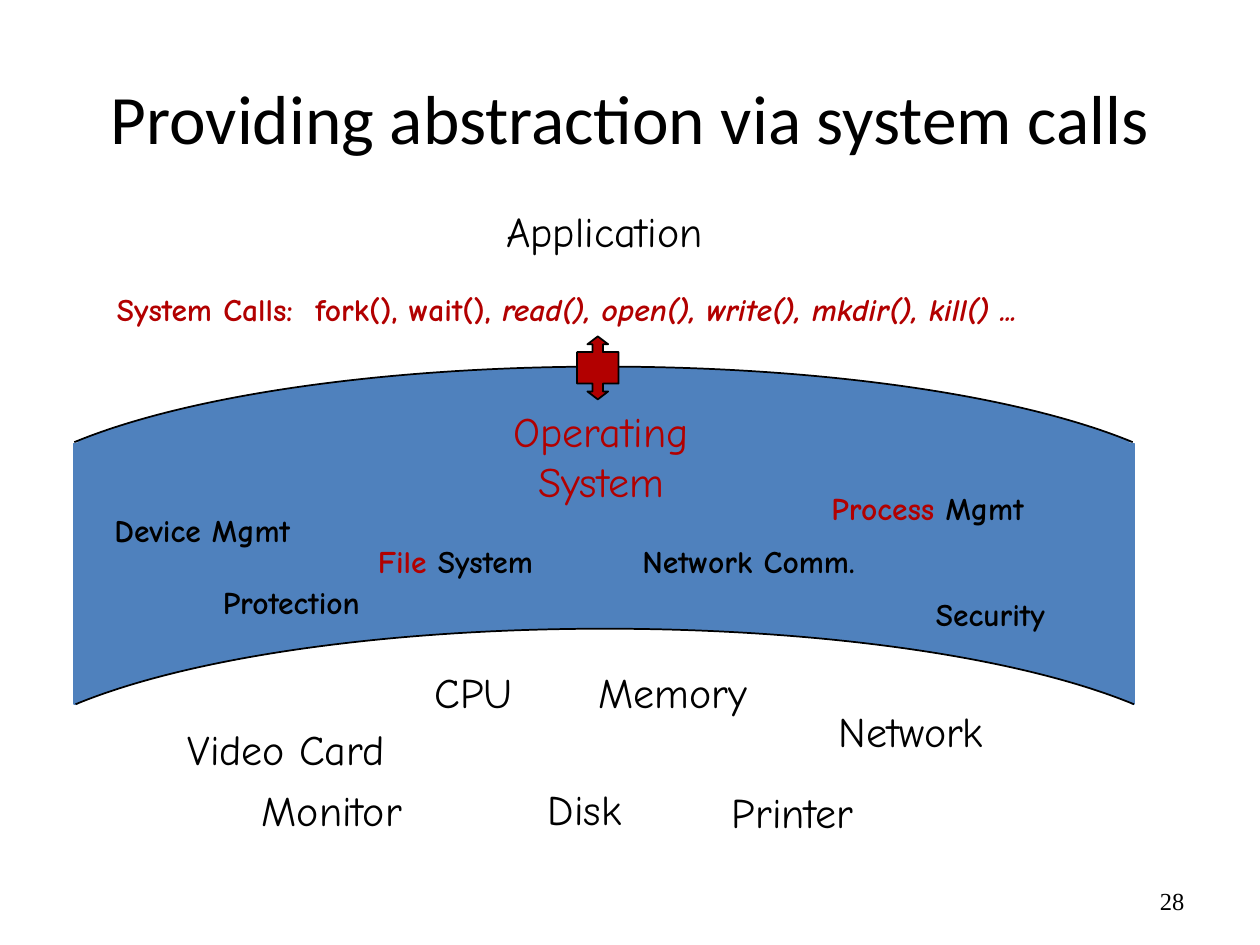
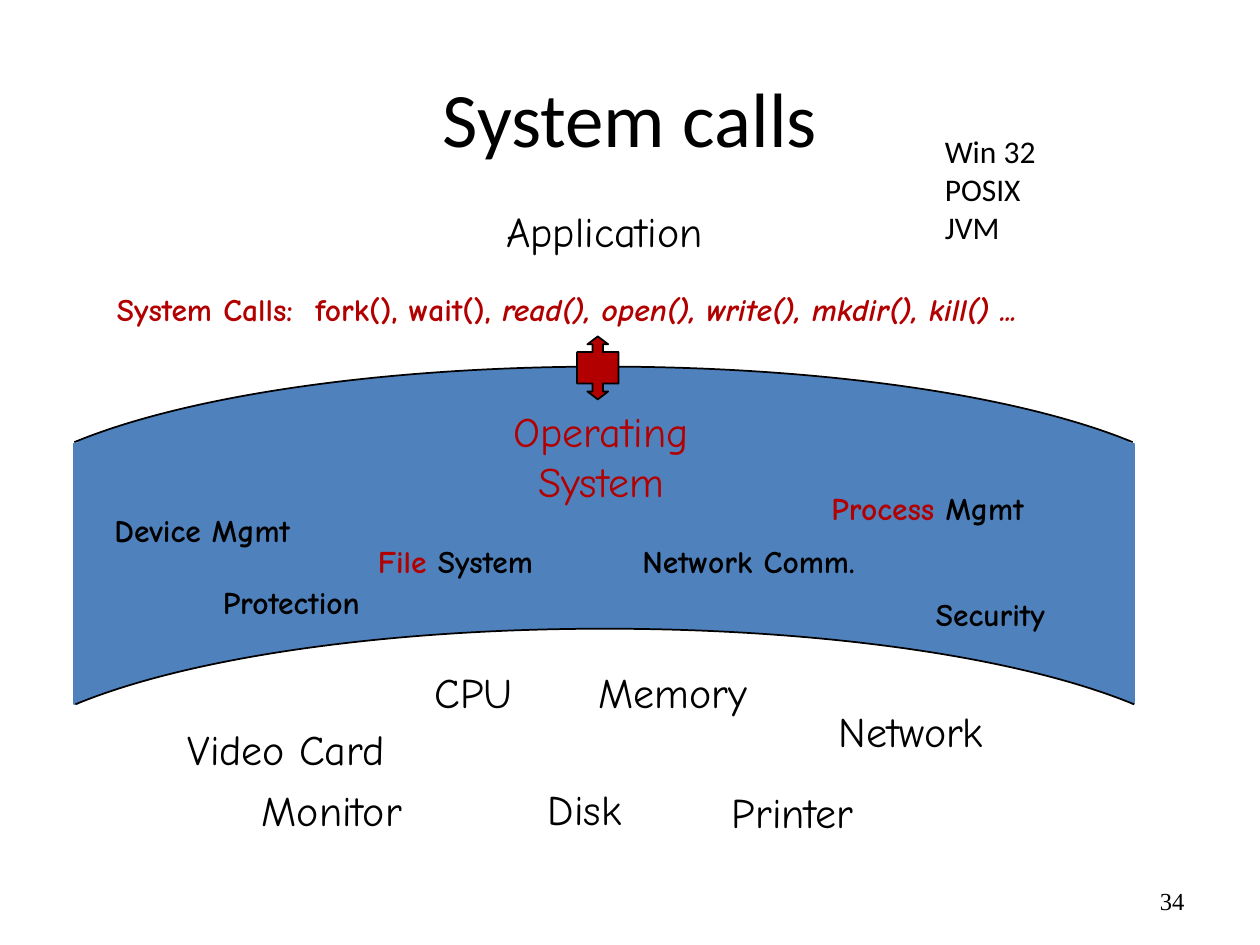
import pptx
import pptx.dml.color
import pptx.enum.shapes
import pptx.enum.text
import pptx.oxml
import pptx.oxml.ns
import pptx.util

Inches = pptx.util.Inches
Align = pptx.enum.text.PP_ALIGN
Anchor = pptx.enum.text.MSO_ANCHOR
Fit = pptx.enum.text.MSO_AUTO_SIZE

# Theme: colours and type styles
theme = {
    "blue": "4F81BD", "red": "B20000", "black": "000000", "white": "FFFFFF",
    "title": {"name": "Calibri", "size": 44},
    "side": {"name": "Calibri", "size": 18},
    "part": {"name": "Comic Neue", "size": 24},
    "task": {"name": "Comic Neue", "size": 18, "bold": True},
    "page": {"name": "Times New Roman", "size": 14},
}


def paint(shape, fill, line):
    """Set fill and line colour by theme name."""
    shape.fill.solid()
    shape.fill.fore_color.rgb = pptx.dml.color.RGBColor.from_string(theme[fill])
    shape.line.color.rgb = pptx.dml.color.RGBColor.from_string(theme[line])
    shape.line.width = pptx.util.Pt(1)
    shape.shadow.inherit = False


def write(slide, box, lines, style, align=Align.LEFT, anchor=Anchor.TOP,
          wrap=True, fit=Fit.SHAPE_TO_FIT_TEXT):
    """Add a text box; each line is a list of (text, colour, changes) runs."""
    frame = slide.shapes.add_textbox(*map(Inches, box)).text_frame
    form = {"word_wrap": wrap, "auto_size": fit, "vertical_anchor": anchor}
    for key, value in form.items():
        setattr(frame, key, value)
    for num, line in enumerate(lines):
        para = frame.add_paragraph() if num else frame.paragraphs[0]
        para.alignment = align
        for text, color, change in line:
            run = para.add_run()
            run.text = text
            for key, value in {**theme[style], **change}.items():
                setattr(run.font, key, pptx.util.Pt(value) if key == "size" else value)
            run.font.color.rgb = pptx.dml.color.RGBColor.from_string(theme[color])


# What differs: title, title size, page number, side list
pages = [
    ("Providing abstraction via system calls", 39.6, "28", []),
    ("System calls", 44, "34", ["Win 32", "POSIX", "JVM"]),
]

# Arcs: left, top, fill
arcs = [(0.59, 2.91, "blue"), (0.6, 4.99, "white")]
wide, rise, depth = 8.4, 0.6, 1.33

# Arc paths in hundredths of an inch: a stroked curve over a filled wedge
bends = [[(92, 22), (250, 0), (420, 0)], [(590, 0), (748, 22), (840, 60)]]
point = '<a:pt x="{}" y="{}"/>'.format
curve = f"<a:moveTo>{point(0, 60)}</a:moveTo>" + "".join(
    f"<a:cubicBezTo>{''.join(point(*spot) for spot in bend)}</a:cubicBezTo>"
    for bend in bends)
wedge = f"{curve}<a:lnTo>{point(420, 133)}</a:lnTo><a:close/>"
paths = (f'<a:pathLst {pptx.oxml.ns.nsdecls("a")}>'
         f'<a:path w="840" h="133" fill="none">{curve}</a:path>'
         f'<a:path w="840" h="133" stroke="0">{wedge}</a:path></a:pathLst>')

# Application and hardware: text, box left, top, width
parts = [
    ("Video Card", 1.39, 5.69, 1.89), ("CPU", 3.35, 5.24, 0.82),
    ("Monitor", 1.98, 6.18, 1.43), ("Printer", 5.71, 6.19, 1.3),
    ("Disk", 4.25, 6.17, 0.88), ("Memory", 4.65, 5.24, 1.45),
    ("Network", 6.56, 5.55, 1.55), ("Application", 3.92, 1.58, 1.93),
]

# Duties of the system: red text, black text, box
tasks = [
    ("", "Device Mgmt", (0.81, 4.01, 1.71, 0.7)),
    ("File", " System", (2.9, 4.25, 1.71, 0.4)),
    ("", "Network Comm.", (5, 4.25, 2.01, 0.7)),
    ("Process", " Mgmt", (6.5, 3.83, 1.81, 0.7)),
    ("", "Protection", (1.67, 4.58, 1.6, 0.4)),
    ("", "Security", (7.33, 4.67, 1.6, 0.4)),
]

deck = pptx.Presentation()
deck.slide_width, deck.slide_height = Inches(10), Inches(7.5)

for title, size, page, side in pages:
    slide = deck.slides.add_slide(deck.slide_layouts[6])
    shapes = slide.shapes

    # Blue band
    band = shapes.add_shape(pptx.enum.shapes.MSO_SHAPE.RECTANGLE,
                            *map(Inches, (0.59, 3.52, 8.41, 2.07)))
    paint(band, "blue", "blue")

    # Title
    write(slide, (0.5, 0.3, 9, 1.25), [[(title, "black", {"size": size})]], "title",
          Align.CENTER, Anchor.MIDDLE, fit=Fit.NONE)

    # Arcs that bend the top and bottom of the band
    for x, y, fill in arcs:
        build = shapes.build_freeform(Inches(x), Inches(y + rise))
        build.add_line_segments([(Inches(x + wide / 2), Inches(y)),
                                 (Inches(x + wide), Inches(y + rise)),
                                 (Inches(x + wide / 2), Inches(y + depth))])
        arc = build.convert_to_shape()
        plain = arc.element.find(".//" + pptx.oxml.ns.qn("a:pathLst"))
        plain.getparent().replace(plain, pptx.oxml.parse_xml(paths))
        paint(arc, fill, "black")

    # Labels
    write(slide, (3.83, 3.17, 1.88, 0.9), [[("Operating System", "red", {})]],
          "part", Align.CENTER)
    for text, x, y, width in parts:
        write(slide, (x, y, width, 0.5), [[(text, "black", {})]], "part", wrap=False)
    calls = [("System Calls:  fork(), wait(), ", "red", {}),
             ("read(), open(), write(), mkdir(), kill() ...", "red", {"italic": True})]
    write(slide, (0.83, 2.25, 8.89, 0.4), [calls], "task", wrap=False)
    for red, black, box in tasks:
        runs = [(red, "red", {})] if red else []
        write(slide, box, [runs + [(black, "black", {})]], "task")

    # Two-way arrow between calls and system
    arrow = shapes.add_shape(pptx.enum.shapes.MSO_SHAPE.UP_DOWN_ARROW_CALLOUT,
                             *map(Inches, (4.58, 2.67, 0.33, 0.5)))
    for num, value in enumerate((0.25, 0.25, 0.19, 0.5)):
        arrow.adjustments[num] = value
    paint(arrow, "red", "black")

    # Page number and side list
    write(slide, (7.17, 6.95, 2.33, 0.4), [[(page, "black", {})]], "page",
          Align.RIGHT, Anchor.MIDDLE, fit=Fit.NONE)
    if side:
        write(slide, (7.4, 1, 0.93, 1.01), [[(name, "black", {})] for name in side],
              "side", wrap=False)

deck.save("out.pptx")
